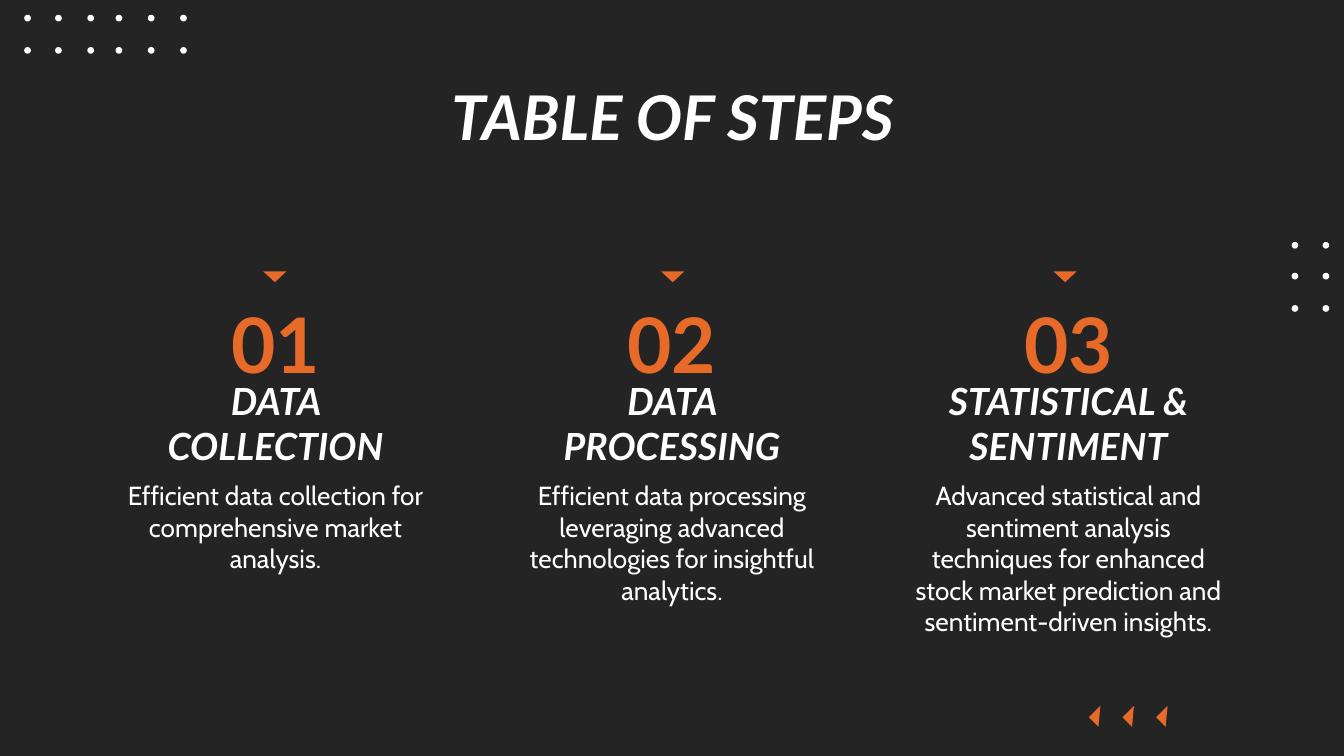
from itertools import product

from pptx import Presentation
from pptx.dml.color import RGBColor
from pptx.enum import shapes, text
from pptx.util import Inches, Pt

DARK, ORANGE, WHITE = "242424", "E76A28", "FFFFFF"
SLIDE_WIDTH = 10
SLIDE_HEIGHT = SLIDE_WIDTH * 9 / 16
TITLE = "TABLE OF STEPS"
STEPS = [
    {"number": "01", "heading": "DATA COLLECTION", "marker_left": 1.96,
     "detail": "Efficient data collection for comprehensive market analysis."},
    {"number": "02", "heading": "DATA PROCESSING", "marker_left": 4.92,
     "detail": "Efficient data processing leveraging advanced technologies "
               "for insightful analytics."},
    {"number": "03", "heading": "STATISTICAL & SENTIMENT", "marker_left": 7.84,
     "detail": "Advanced statistical and sentiment analysis techniques for enhanced "
               "stock market prediction and sentiment-driven insights."},
]
NUMBER_WIDTHS = [1.37, 1.37, 1.21]
HEADING_TOPS = [2.82, 2.77, 2.74]
HEADING_BOTTOM = 3.58
DOT_GRIDS = [
    ([0.18, 0.41, 0.65, 0.86, 1.1, 1.34], [0.11, 0.35]),
    ([9.61, 9.84], [1.8, 2.03, 2.27]),
]
ARROW_LEFTS = [8.13, 8.38, 8.63]
COLUMN_LEFT, COLUMN_STEP, COLUMN_WIDTH = 0.79, 2.95, 2.52
TOP, MIDDLE, BOTTOM = text.MSO_ANCHOR.TOP, text.MSO_ANCHOR.MIDDLE, text.MSO_ANCHOR.BOTTOM


def color(hex_code):
    return RGBColor.from_string(hex_code)


def add_mark(slide, kind, left, top, width, height, fill, rotation=0):
    mark = slide.shapes.add_shape(kind, *map(Inches, (left, top, width, height)))
    mark.shadow.inherit = False
    mark.fill.solid()
    mark.fill.fore_color.rgb = color(fill)
    mark.line.fill.background()
    mark.rotation = rotation


def write(box, wording, size, font_name, ink, anchor=TOP, bold=False, italic=False):
    frame = box.text_frame
    frame.word_wrap = True
    frame.auto_size = text.MSO_AUTO_SIZE.NONE
    frame.vertical_anchor = anchor
    frame.margin_left = frame.margin_right = Inches(0.1)
    frame.margin_top = frame.margin_bottom = Inches(0.1)
    paragraph = frame.paragraphs[0]
    paragraph.alignment = text.PP_ALIGN.CENTER
    paragraph.line_spacing = 1.0
    run = paragraph.add_run()
    run.text = wording
    run.font.size, run.font.name = Pt(size), font_name
    run.font.bold, run.font.italic = bold, italic
    run.font.color.rgb = color(ink)


def add_text(slide, left, top, width, height, *style, **options):
    box = slide.shapes.add_textbox(*map(Inches, (left, top, width, height)))
    write(box, *style, **options)


def add_step(slide, index, step):
    left = COLUMN_LEFT + index * COLUMN_STEP
    number_width, heading_top = NUMBER_WIDTHS[index], HEADING_TOPS[index]
    number_left = left + (COLUMN_WIDTH - number_width) / 2
    add_text(slide, left, 3.47, COLUMN_WIDTH, 0.69, step["detail"], 14, "Cabin", WHITE)
    add_text(slide, number_left, 2.18, number_width, 0.75, step["number"], 41, "Lato",
             ORANGE, anchor=MIDDLE, bold=True)
    add_text(slide, left, heading_top, COLUMN_WIDTH, HEADING_BOTTOM - heading_top,
             step["heading"], 20, "Lato", WHITE, anchor=BOTTOM, bold=True, italic=True)
    add_mark(slide, shapes.MSO_SHAPE.ISOSCELES_TRIANGLE, step["marker_left"], 2.02,
             0.17, 0.08, ORANGE, 180)


def main():
    """Build the three-step overview slide."""
    deck = Presentation()
    deck.slide_width, deck.slide_height = Inches(SLIDE_WIDTH), Inches(SLIDE_HEIGHT)
    slide = deck.slides.add_slide(deck.slide_layouts[5])
    slide.background.fill.solid()
    slide.background.fill.fore_color.rgb = color(DARK)

    for left in ARROW_LEFTS:
        add_mark(slide, shapes.MSO_SHAPE.RIGHT_TRIANGLE, left, 5.27, 0.1, 0.12, ORANGE, 45)
    for lefts, tops in DOT_GRIDS:
        for left, top in product(lefts, tops):
            add_mark(slide, shapes.MSO_SHAPE.OVAL, left, top, 0.05, 0.05, WHITE)

    title = slide.shapes.title
    title.left, title.top = Inches(0.79), Inches(0.49)
    title.width, title.height = Inches(8.43), Inches(0.63)
    write(title, TITLE, 33, "Lato", WHITE, bold=True, italic=True)

    for index, step in enumerate(STEPS):
        add_step(slide, index, step)
    deck.save("out.pptx")


if __name__ == "__main__":
    main()
